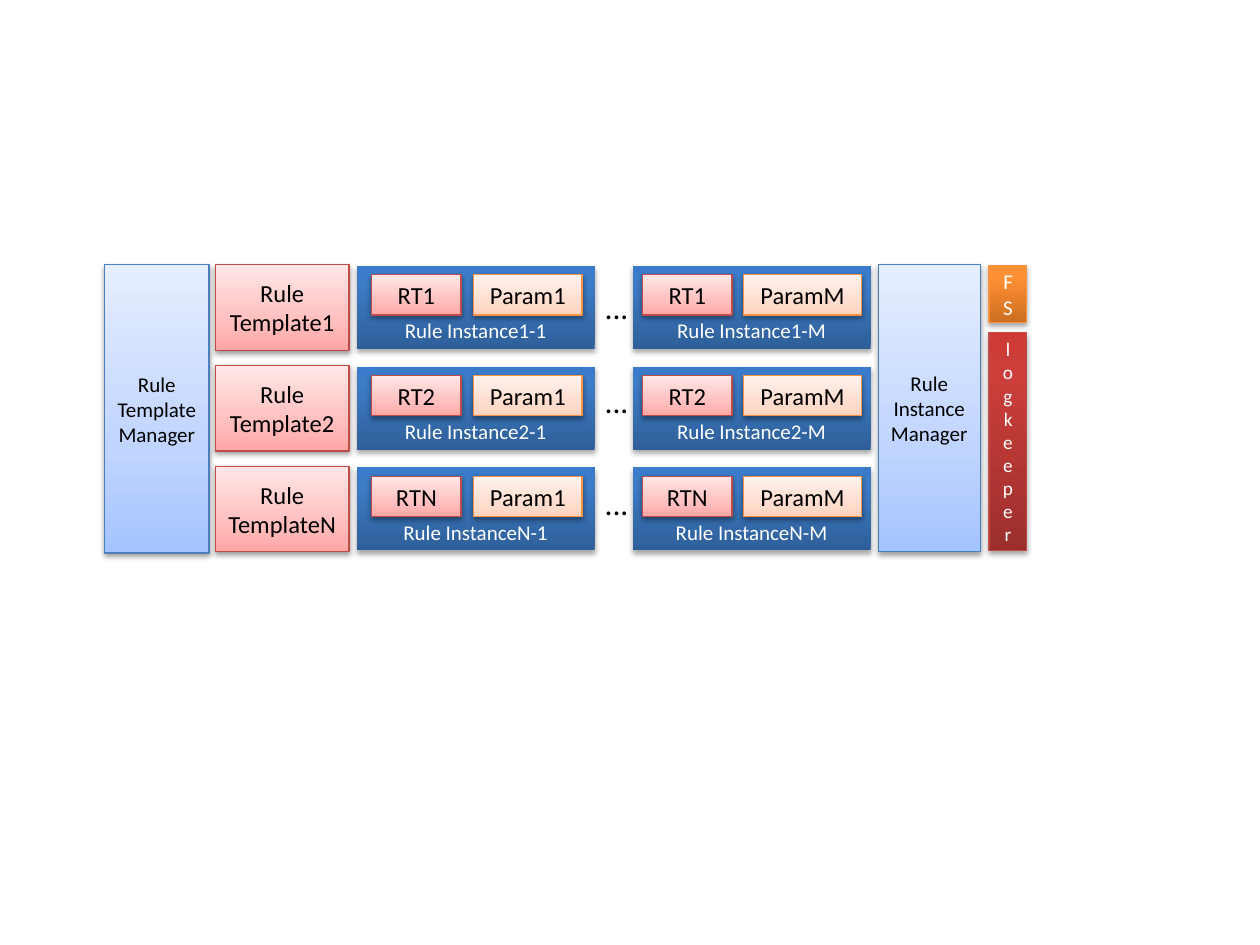
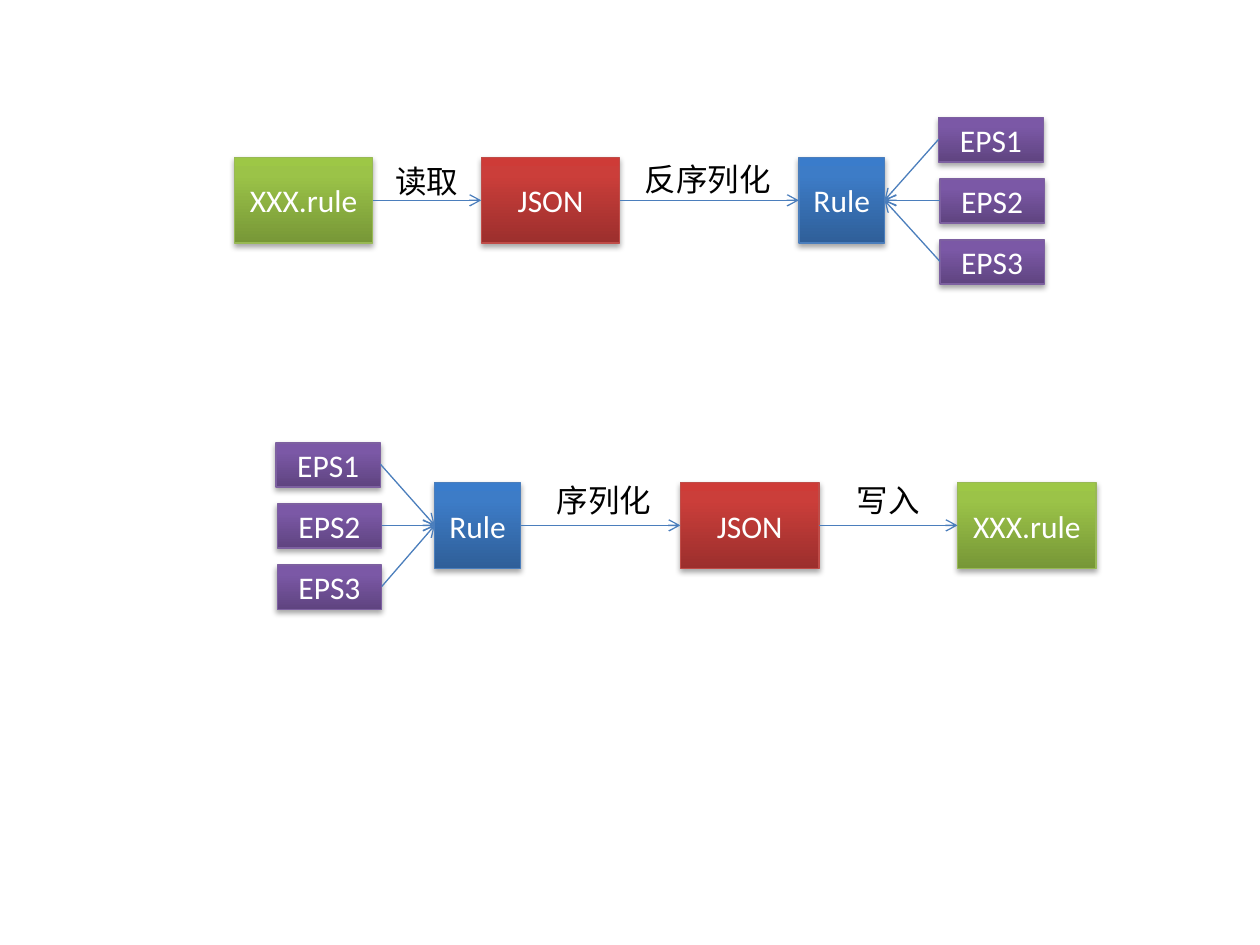
"""Build two slides: a rule engine layout and the rule file flows."""
from copy import deepcopy
from lxml import etree
from pptx import Presentation
from pptx import util as u
from pptx.dml.color import RGBColor
from pptx.enum import shapes, text
from pptx.oxml.ns import qn

Inches = u.Inches
rgb = RGBColor.from_string
BLACK, WHITE, BLUE = "000000", "FFFFFF", "4B7EBC"
PALE = dict(mid=0.35, font=BLACK, alpha=38000, dist=20000)
DEEP = dict(mid=0.8, font=WHITE, alpha=35000, dist=23000)
SKY = dict(PALE, stops=("A4C4FF", "BFD4FF", "E6EEFF"), line=BLUE)
PINK = dict(PALE, stops=("FFA6A5", "FFC0BF", "FFE7E7"), line="BF4C48")
PEACH = dict(PALE, stops=("FFD2BD", "FFDED0", "FFF2ED"), line="F69240")
NAVY = dict(DEEP, stops=("2F5F99", "3D7CC7", "3A7CCB"), line=BLUE)
FRAME = dict(NAVY, line=None)
RED = dict(DEEP, stops=("9C2F2D", "CB3E3A", "CE3B37"), line="BF4C48")
ORANGE = dict(DEEP, stops=("CC6E20", "FF9034", "FF9136"), line="F69240")
GREEN = dict(DEEP, stops=("779737", "9BC348", "9DC746"), line="98B955")
PURPLE = dict(DEEP, stops=("5F4480", "7B58A6", "7C57A8"), line="7D60A0")


def put(home, words, x, y, w, h, size=18, tone=None, anchor="MIDDLE"):
    """Place a shaded box, or plain text when no tone is given."""
    area = [Inches(n) for n in (x, y, w, h)]
    if tone:
        item = home.add_shape(shapes.MSO_SHAPE.RECTANGLE, *area)
        fill = item.fill
        fill.gradient()
        fill.gradient_angle = 90
        props = item._element.spPr
        group = props.find(".//" + qn("a:gsLst"))
        group.append(deepcopy(group[0]))
        for stop, shade, spot in zip(fill.gradient_stops, tone["stops"], (0, tone["mid"], 1)):
            stop.color.rgb = rgb(shade)
            stop.position = spot
        if tone["line"]:
            item.line.color.rgb = rgb(tone["line"])
            item.line.width = u.Pt(0.75)
        else:
            item.line.fill.background()
        item.shadow.inherit = False
        cast = etree.SubElement(props.find(qn("a:effectLst")), qn("a:outerShdw"),
                                blurRad="40000", dist=str(tone["dist"]),
                                dir="5400000", rotWithShape="0")
        shade = etree.SubElement(cast, qn("a:srgbClr"), val=BLACK)
        etree.SubElement(shade, qn("a:alpha"), val=str(tone["alpha"]))
    else:
        item = home.add_textbox(*area)
    frame = item.text_frame
    frame.text = words
    frame.word_wrap = bool(tone)
    if tone:
        frame.vertical_anchor = text.MSO_ANCHOR[anchor]
    else:
        frame.auto_size = text.MSO_AUTO_SIZE.SHAPE_TO_FIT_TEXT
    for para in frame.paragraphs:
        para.alignment = text.PP_ALIGN.CENTER if tone else text.PP_ALIGN.LEFT
        for run in para.runs:
            run.font.name = "Calibri"
            run.font.size = u.Pt(size)
            run.font.color.rgb = rgb(tone["font"] if tone else BLACK)


def link(home, x, y, end, low):
    """Draw an arrow from x, y to end, low."""
    wire = home.add_connector(shapes.MSO_CONNECTOR.STRAIGHT,
                              *[Inches(n) for n in (x, y, end, low)])
    wire.line.color.rgb = rgb(BLUE)
    wire.line.width = u.Pt(0.75)
    props = wire._element.spPr
    etree.SubElement(props.find(qn("a:ln")), qn("a:tailEnd"), type="arrow")
    etree.SubElement(props, qn("a:effectLst"))


deck = Presentation()
deck.slide_width, deck.slide_height = Inches(10), Inches(7.5)
blank = deck.slide_layouts[6]

home = deck.slides.add_slide(blank).shapes
put(home, "Rule Instance Manager", 6.97, 2.1, 0.81, 2.28, 12, SKY)
put(home, "Rule\nTemplate Manager", 0.83, 2.1, 0.83, 2.29, 12, SKY)
for row, (name, dots) in enumerate(zip("12N", (2.24, 2.98, 3.79))):
    put(home, f"Rule\nTemplate{name}", 1.71, 2.1 + 0.8 * row, 1.06, 0.68, 14, PINK)
    top = 2.11 + 0.8 * row
    for last, left, kind, param, wide in (("1", 2.83, 2.95, 3.76, 0.86),
                                          ("M", 5.02, 5.1, 5.9, 0.94)):
        cell = home.add_group_shape().shapes
        put(cell, f"Rule Instance{name}-{last}", left, top, 1.89, 0.66, 12, FRAME, "BOTTOM")
        put(cell, f"RT{name}", kind, top + 0.07, 0.71, 0.32, 14, PINK)
        put(cell, f"Param{last}", param, top + 0.07, wide, 0.32, 14, PEACH)
    put(home, "...", 4.7, dots, 0.39, 0.4)
put(home, "logkeeper", 7.85, 2.64, 0.3, 1.73, 11, RED)
put(home, "FS", 7.85, 2.11, 0.3, 0.45, 12, ORANGE)

home = deck.slides.add_slide(blank).shapes
flows = (
    dict(top=1.25, rule=6.34, json=3.82, file=1.86, eps=7.45, out=0, hub=7.02,
         wires=((2.96, 3.82), (4.92, 6.34)),
         notes=(("读取", 3.04, 1.24, 0.71), ("反序列化", 5.02, 1.22, 1.21))),
    dict(top=3.83, rule=3.45, json=5.4, file=7.6, eps=2.19, out=0.83, hub=3.45,
         wires=((4.13, 5.4), (6.5, 7.6)),
         notes=(("序列化", 4.32, 3.77, 0.96), ("写入", 6.7, 3.77, 0.71))),
)
for flow in flows:
    top = flow["top"]
    mid = top + 0.34
    put(home, "Rule", flow["rule"], top, 0.68, 0.68, 18, NAVY)
    put(home, "JSON", flow["json"], top, 1.1, 0.68, 18, RED)
    put(home, "XXX.rule", flow["file"], top, 1.1, 0.68, 18, GREEN)
    for start, end in flow["wires"]:
        link(home, start, mid, end, mid)
    for words, x, y, wide in flow["notes"]:
        put(home, words, x, y, wide, 0.4)
    for step in range(3):
        x = flow["eps"] + (0.01 if step else 0)
        y = mid + 0.485 * (step - 1)
        put(home, f"EPS{step + 1}", x, y - 0.17, 0.83, 0.35, 18, PURPLE)
        link(home, x + flow["out"], y, flow["hub"], mid)

deck.save("out.pptx")
